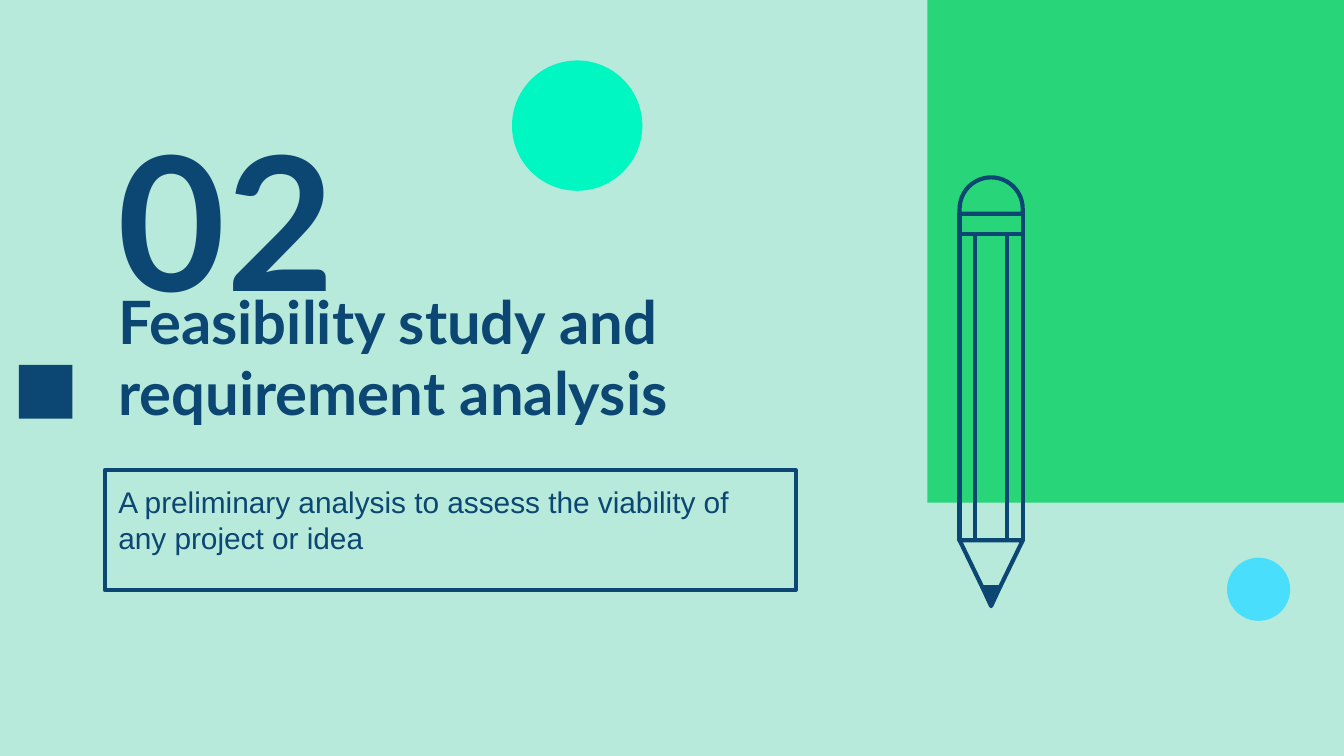
from math import cos, pi, sin

from pptx import Presentation
from pptx.dml.color import RGBColor
from pptx.enum.shapes import MSO_CONNECTOR as Connector, MSO_SHAPE as Shape
from pptx.enum.text import MSO_ANCHOR as Anchor, MSO_AUTO_SIZE as AutoSize, PP_ALIGN as Align
from pptx.oxml.ns import qn
from pptx.util import Inches, Pt

NAVY, MINT, GREEN = "0C4672", "B7EADB", "28D679"
AQUA, SKY = "00F7C1", "49DEFC"
COLUMNS, ROWS = 100, 56.25  # square grid cells, a tenth of an inch each


def color(hex_code):
    return RGBColor.from_string(hex_code)


def grid(*cells):
    return [Inches(cell / 10) for cell in cells]


class SlideBuilder:
    line_width = Pt(2.25)
    inset = Inches(0.1)

    def __init__(self, presentation, background):
        self.slide = presentation.slides.add_slide(presentation.slide_layouts[0])
        self.shapes = self.slide.shapes
        self.slide.background.fill.solid()
        self.slide.background.fill.fore_color.rgb = color(background)

    def paint(self, shape, fill=None, line=None):
        shape.shadow.inherit = False
        if fill:
            shape.fill.solid()
            shape.fill.fore_color.rgb = color(fill)
        else:
            shape.fill.background()
        if line:
            shape.line.color.rgb = color(line)
            shape.line.width = self.line_width
        else:
            shape.line.fill.background()
        return shape

    def preset(self, kind, box, fill=None, line=None):
        return self.paint(self.shapes.add_shape(kind, *grid(*box)), fill, line)

    def outline(self, points, fill=None, line=None):
        first, *others = [grid(*point) for point in points]
        builder = self.shapes.build_freeform(*first, scale=1.0)
        builder.add_line_segments(others, close=True)
        return self.paint(builder.convert_to_shape(), fill, line)

    def line(self, start, end, hex_code):
        connector = self.shapes.add_connector(Connector.STRAIGHT, *grid(*start, *end))
        connector.line.color.rgb = color(hex_code)
        connector.line.width = self.line_width
        properties = connector._element.spPr
        properties.append(properties.makeelement(qn("a:effectLst"), {}))

    def text(self, shape, box, words, spacing=1.0, anchor=Anchor.TOP, bottom=inset, **font):
        for name, value in zip(("left", "top", "width", "height"), grid(*box)):
            setattr(shape, name, value)
        frame = shape.text_frame
        frame.text = words
        frame_format = {
            "word_wrap": True, "auto_size": AutoSize.NONE, "vertical_anchor": anchor,
            "margin_left": self.inset, "margin_right": self.inset,
            "margin_top": self.inset, "margin_bottom": bottom,
        }
        paragraph = frame.paragraphs[0]
        paragraph_format = {"alignment": Align.LEFT, "line_spacing": spacing, "space_before": Pt(0)}
        run_font = paragraph.runs[0].font
        run_font.color.rgb = color(NAVY)
        for target, values in ((frame, frame_format), (paragraph, paragraph_format), (run_font, font)):
            for name, value in values.items():
                setattr(target, name, value)

    def pencil(self, left, top, width):
        right, middle, radius = left + width, left + width / 2, width / 2
        cap, ferrule, body, cone = 2.7, 1.5, 22.8, 4.9
        ferrule_top = top + cap
        body_top = ferrule_top + ferrule
        body_end = body_top + body
        # Eraser with a half-round top
        steps = 24
        angles = [pi * step / steps for step in range(steps + 1)]
        arc = [(middle + radius * cos(angle), top + radius * (1 - sin(angle))) for angle in angles]
        self.outline([*arc, (left, ferrule_top), (right, ferrule_top)], line=NAVY)
        # Ferrule and body
        for start, height in ((ferrule_top, ferrule), (body_top, body)):
            self.preset(Shape.RECTANGLE, (left, start, width, height), line=NAVY)
        for share in (0.25, 0.75):
            x = left + share * width
            self.line((x, body_top), (x, body_end), NAVY)
        # Sharpened cone and lead
        lead_top, lead_half = body_end + 3.5, 0.65
        lead = [(middle - lead_half, lead_top), (middle + lead_half, lead_top)]
        self.outline([*lead, (right, body_end), (left, body_end)], line=NAVY)
        self.outline([*lead, (middle, body_end + cone)], fill=NAVY, line=NAVY)


def main():
    presentation = Presentation()
    presentation.slide_width, presentation.slide_height = grid(COLUMNS, ROWS)
    builder = SlideBuilder(presentation, MINT)
    title, subtitle = builder.slide.placeholders

    # Section title, number and description
    text_left, text_width = 7.8, 51.4
    builder.text(title, (text_left, 21.4, text_width, 13.4),
                 "Feasibility study and requirement analysis",
                 anchor=Anchor.MIDDLE, bottom=Inches(0.42),
                 name="Lato", size=Pt(32), bold=True)
    number = builder.shapes.add_textbox(0, 0, 0, 0)
    builder.text(number, (text_left, 6.8, text_width, 15.5), "02",
                 name="Lato", size=Pt(100), bold=True)
    builder.text(subtitle, (text_left, 35, text_width, 8.9),
                 "A preliminary analysis to assess the viability of any project or idea",
                 name="Arial", size=Pt(16))
    subtitle.line.color.rgb = color(NAVY)
    subtitle.line.width = builder.line_width

    # Green panel with the pencil over it
    builder.preset(Shape.RECTANGLE, (69, 0, COLUMNS - 69, 37.4), GREEN)
    builder.pencil(71.4, 13.2, 4.7)

    # Loose decorations
    for kind, left, top, size, fill in (
        (Shape.RECTANGLE, 1.4, 27.15, 4, NAVY),
        (Shape.OVAL, 38.1, 4.5, 9.7, AQUA),
        (Shape.OVAL, 91.3, 41.5, 4.7, SKY),
    ):
        builder.preset(kind, (left, top, size, size), fill)

    presentation.save("out.pptx")


if __name__ == "__main__":
    main()
